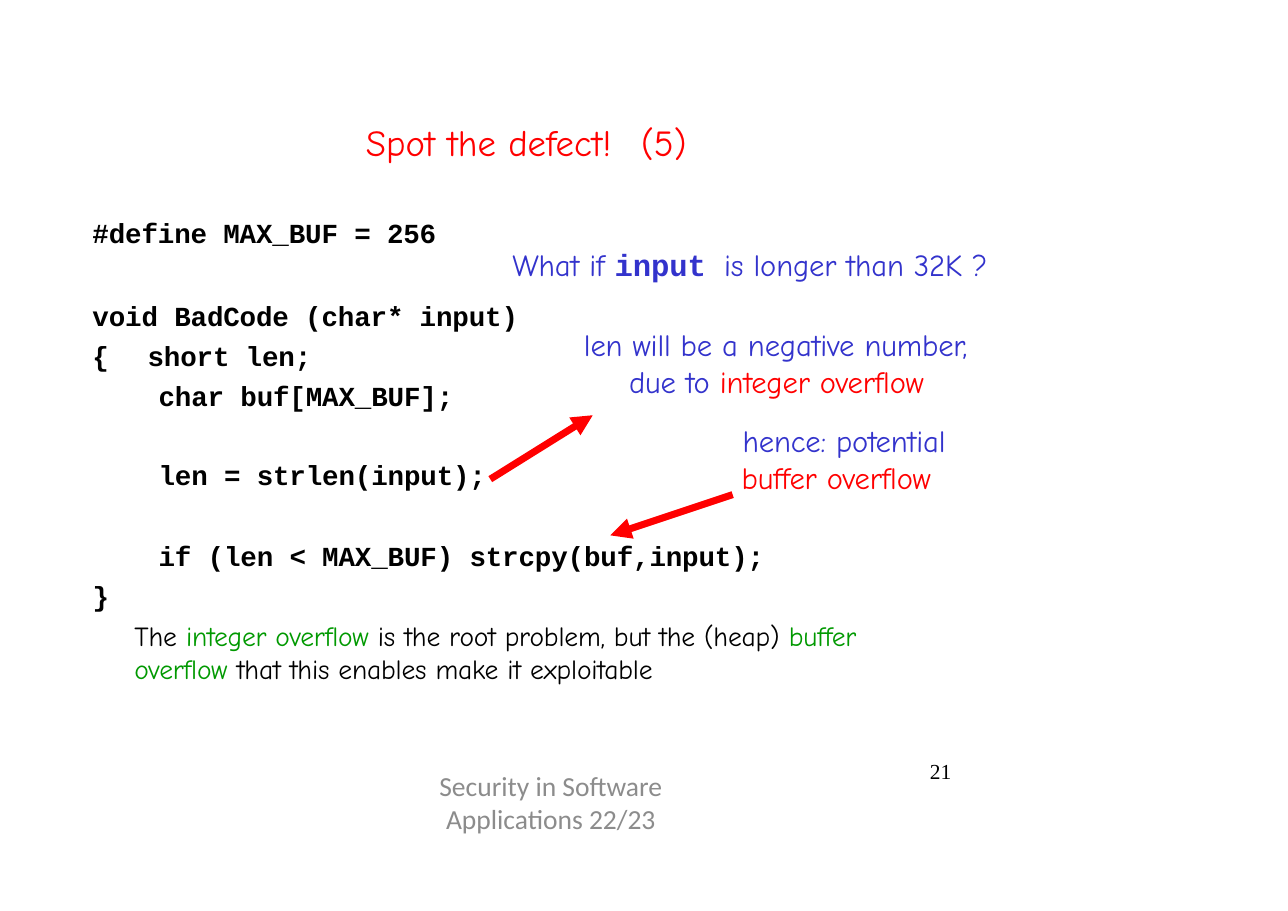
"""Build the "Spot the defect!" slide on integer and buffer overflow."""
from dataclasses import dataclass

from lxml import etree
from pptx import Presentation
from pptx.dml.color import RGBColor
from pptx.enum.shapes import MSO_CONNECTOR
from pptx.enum.text import MSO_ANCHOR, PP_ALIGN
from pptx.oxml.ns import qn
from pptx.util import Inches, Pt

STRAIGHT = MSO_CONNECTOR.STRAIGHT
TOP = MSO_ANCHOR.TOP
LEFT, CENTER = PP_ALIGN.LEFT, PP_ALIGN.CENTER
RED, BLUE, GREEN, BLACK, GREY = "FF0000", "3333CC", "009900", "000000", "8C8C8C"


@dataclass
class Style:
    """Font, size, colour, weight and tracking (hundredths of a point)."""
    name: str
    size: float
    color: str
    bold: bool = False
    tracking: int = -10


@dataclass
class Para:
    """Styled runs with indents and tab in inches, spacing in points."""
    runs: list[tuple[str, Style]]
    margin: float = 0.01
    indent: float = 0
    before: float = 0
    line: float | None = None
    tab: float | None = None
    align: PP_ALIGN = LEFT


@dataclass
class Box:
    """A text box with its place and top inset in inches."""
    left: float
    top: float
    width: float
    height: float
    paras: list[Para]
    inset: float = 0.01


@dataclass
class Arrow:
    """A straight arrow from its tail to its head, in inches."""
    tail: tuple[float, float]
    head: tuple[float, float]


TITLE = Style("Comic Neue", 24, RED, tracking=0)
CODE = Style("Courier New", 18, BLACK, bold=True)
NOTE = Style("Comic Neue", 20, BLUE)
NOTE_CODE = Style("Courier New", 20, BLUE, bold=True)
DANGER = Style("Comic Neue", 20, RED)
REMARK = Style("Comic Neue", 18, BLACK)
TERM = Style("Comic Neue", 18, GREEN)
NUMBER = Style("Times New Roman", 14, BLACK, tracking=0)
FOOTER = Style("Calibri", 18, GREY, tracking=0)

BOXES = [
    Box(3.31, 1.08, 3.29, 0.42, [
        Para([("Spot the defect!\t(5)", TITLE)], before=1, tab=2.83)]),
    Box(0.83, 3, 3.33, 0.75, [
        Para([("{\tshort len;", CODE)], before=5.5, tab=0.61),
        Para([("char buf[MAX_BUF];", CODE)], 0.61, before=4.5)], 0.08),
    Box(1.43, 4.15, 3.03, 0.32, [
        Para([("len = strlen(input);", CODE)], before=1)]),
    Box(0.83, 4.81, 7.85, 1.43, [
        Para([("if (len < MAX_BUF) strcpy(buf,input);", CODE)], 0.61, before=5.5),
        Para([("}", CODE)], before=4.5),
        Para([("The ", REMARK), ("integer overflow ", TERM),
              ("is the root problem, but the (heap) ", REMARK),
              ("buffer overflow ", TERM),
              ("that this enables make it exploitable", REMARK)],
             0.39, before=4.5)], 0.08),
    Box(0.83, 1.98, 8.53, 1.06, [
        Para([("#define MAX_BUF = 256", CODE)], before=1, line=19.5),
        Para([("What if ", NOTE), ("input ", NOTE_CODE),
              ("is longer than 32K ?", NOTE)], 3.82, line=21.9),
        Para([("void BadCode (char* input)", CODE)], before=10.7)]),
    Box(5.29, 2.95, 3.81, 1.57, [
        Para([("len will be a negative number, due to ", NOTE),
              ("integer overflow", DANGER)], 0.42, -0.41, before=1),
        Para([("hence: potential ", NOTE), ("buffer overflow", DANGER)],
             1.44, 0.01, before=14.9)]),
    Box(8.4, 6.89, 0.26, 0.22, [Para([("21", NUMBER)], 0.04, line=16.3)], 0),
    Box(3.4, 6.98, 3.2, 0.3, [
        Para([("Security in Software Applications 22/23", FOOTER)], 0,
             align=CENTER)], 0),
]

ARROWS = [Arrow((4.45, 4.35), (5.38, 3.77)), Arrow((6.65, 4.49), (5.54, 4.86))]


def rgb(value: str) -> RGBColor:
    """Turn a hex string into a colour."""
    return RGBColor.from_string(value)


def apply(target: object, values: dict) -> None:
    """Set every attribute named in values."""
    for key, value in values.items():
        setattr(target, key, value)


def add_run(p, text: str, style: Style) -> None:
    """Append one styled run to a paragraph."""
    r = p.add_run()
    r.text = text
    apply(r.font, {"name": style.name, "size": Pt(style.size), "bold": style.bold})
    r.font.color.rgb = rgb(style.color)
    r.font._element.set("spc", str(style.tracking))


def fill_para(p, para: Para) -> None:
    """Format a paragraph and add its runs."""
    apply(p, {"alignment": para.align, "space_before": Pt(para.before)})
    if para.line:
        p.line_spacing = Pt(para.line)
    ppr = p._p.get_or_add_pPr()
    for key, value in {"marL": para.margin, "indent": para.indent}.items():
        ppr.set(key, str(int(Inches(value))))
    if para.tab:
        tabs = etree.SubElement(ppr, qn("a:tabLst"))
        etree.SubElement(tabs, qn("a:tab"), pos=str(int(Inches(para.tab))), algn="l")
    for text, style in para.runs:
        add_run(p, text, style)


def add_box(s, box: Box) -> None:
    """Draw a text box with all its paragraphs."""
    sp = s.shapes.add_textbox(*map(Inches, (box.left, box.top, box.width, box.height)))
    tf = sp.text_frame
    apply(tf, {"word_wrap": True, "vertical_anchor": TOP, "margin_left": 0,
               "margin_right": 0, "margin_top": Inches(box.inset), "margin_bottom": 0})
    for i, para in enumerate(box.paras):
        fill_para(tf.add_paragraph() if i else tf.paragraphs[0], para)


def add_arrow(s, arrow: Arrow) -> None:
    """Draw a thick red arrow."""
    sp = s.shapes.add_connector(STRAIGHT, *map(Inches, arrow.tail + arrow.head))
    sp.line.color.rgb = rgb(RED)
    sp.line.width = Pt(4.6)
    etree.SubElement(sp.line._get_or_add_ln(), qn("a:tailEnd"),
                     type="triangle", w="med", len="med")
    etree.SubElement(sp._element.spPr, qn("a:effectLst"))


def main() -> None:
    """Build and save the presentation."""
    prs = Presentation()
    apply(prs, {"slide_width": Inches(11.69), "slide_height": Inches(8.27)})
    s = prs.slides.add_slide(prs.slide_layouts[6])
    for box in BOXES:
        add_box(s, box)
    for arrow in ARROWS:
        add_arrow(s, arrow)
    prs.save("out.pptx")


main()
